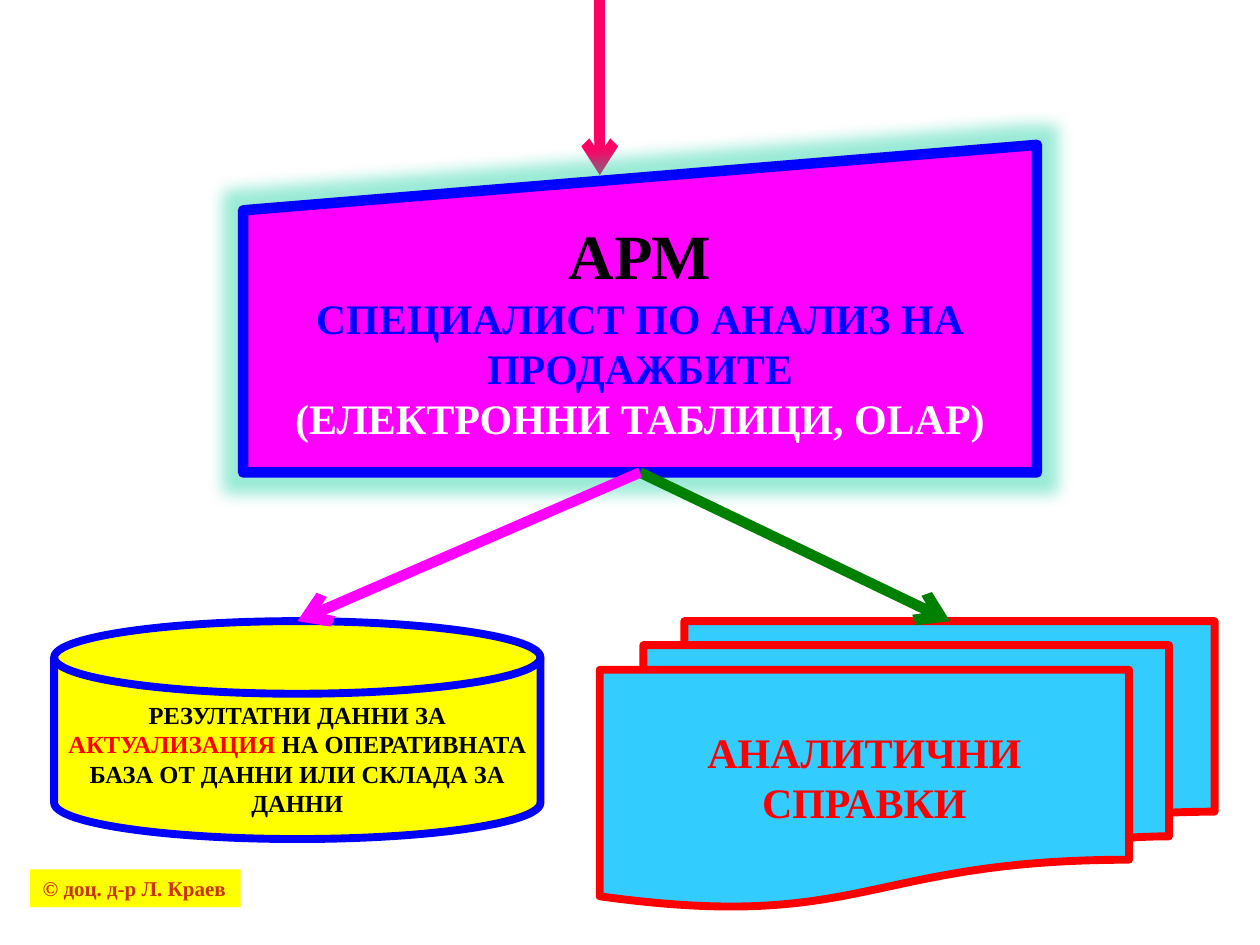
"""Build the slide on the sales analyst workstation and its outputs."""
from dataclasses import dataclass

from lxml.etree import SubElement
from pptx import Presentation
from pptx.dml.color import RGBColor
from pptx.enum.shapes import MSO_CONNECTOR, MSO_SHAPE
from pptx.enum.text import MSO_ANCHOR, MSO_AUTO_SIZE, PP_ALIGN
from pptx.oxml.ns import qn
from pptx.shapes.autoshape import Shape
from pptx.slide import Slide
from pptx.util import Inches, Pt


@dataclass(frozen=True)
class Theme:
    """Colours, type sizes and line widths."""
    font: str = "Times New Roman"
    black: str = "000000"
    white: str = "FFFFFF"
    blue: str = "0000FF"
    red: str = "FF0000"
    magenta: str = "FF00FF"
    yellow: str = "FFFF00"
    sky: str = "33CCFF"
    pink: str = "FF0066"
    green: str = "008000"
    rust: str = "CC3300"
    glow: str = "00CC99"
    title: float = 36
    head: float = 24
    body: float = 14
    small: float = 12
    thick: float = 6
    medium: float = 4.5


T = Theme()


@dataclass(frozen=True)
class Span:
    """A run of text in one size and colour."""
    text: str
    size: float
    color: str


@dataclass(frozen=True)
class Box:
    """A filled shape with its paragraphs."""
    kind: MSO_SHAPE
    at: tuple[float, float, float, float]
    fill: str
    paras: list[list[Span]]
    line: str | None = None
    width: float = 0
    top_inset: float = 0.05
    align: PP_ALIGN = PP_ALIGN.CENTER
    wrap: bool = True


@dataclass(frozen=True)
class Arrow:
    """A straight arrow between two points."""
    start: tuple[float, float]
    end: tuple[float, float]
    color: str


def rgb(color: str) -> RGBColor:
    """Return a colour from its hex name."""
    return RGBColor.from_string(color)


def draw_box(s: Slide, box: Box) -> Shape:
    """Draw a shape and write its text."""
    sp = s.shapes.add_shape(box.kind, *map(Inches, box.at))
    sp.shadow.inherit = False
    sp.fill.solid()
    sp.fill.fore_color.rgb = rgb(box.fill)
    if box.line:
        sp.line.color.rgb = rgb(box.line)
        sp.line.width = Pt(box.width)
    else:
        sp.line.fill.background()
    tf = sp.text_frame
    tf.word_wrap = box.wrap
    tf.auto_size = MSO_AUTO_SIZE.NONE if box.wrap else MSO_AUTO_SIZE.SHAPE_TO_FIT_TEXT
    tf.vertical_anchor = MSO_ANCHOR.TOP
    tf.margin_top = Inches(box.top_inset)
    for i, spans in enumerate(box.paras):
        p = tf.add_paragraph() if i else tf.paragraphs[0]
        p.alignment = box.align
        for span in spans:
            r = p.add_run()
            r.text = span.text
            r.font.name = T.font
            r.font.bold = True
            r.font.size = Pt(span.size)
            r.font.color.rgb = rgb(span.color)
    return sp


def add_glow(sp: Shape, color: str, radius: float) -> None:
    """Surround a shape with a translucent glow."""
    effects = sp._element.spPr.find(qn("a:effectLst"))
    glow = SubElement(effects, qn("a:glow"), rad=str(Pt(radius)))
    clr = SubElement(glow, qn("a:srgbClr"), val=color)
    SubElement(clr, qn("a:alpha"), val="40000")


def draw_arrow(s: Slide, arrow: Arrow) -> None:
    """Draw an arrow with an open head at its end."""
    points = map(Inches, (*arrow.start, *arrow.end))
    cn = s.shapes.add_connector(MSO_CONNECTOR.STRAIGHT, *points)
    cn.line.color.rgb = rgb(arrow.color)
    cn.line.width = Pt(T.thick)
    SubElement(cn.line._get_or_add_ln(), qn("a:tailEnd"), type="arrow")
    SubElement(cn._element.spPr, qn("a:effectLst"))


def main() -> None:
    """Compose and save the slide."""
    prs = Presentation()
    prs.slide_width, prs.slide_height = Inches(10), Inches(7.5)
    s = prs.slides.add_slide(prs.slide_layouts[6])

    workstation = Box(
        MSO_SHAPE.FLOWCHART_MANUAL_INPUT, (1.93, 1.15, 6.3, 2.6), T.magenta,
        [[Span("АРМ", T.title, T.black)],
         [Span("СПЕЦИАЛИСТ ПО АНАЛИЗ НА ПРОДАЖБИТЕ", T.head, T.blue)],
         [Span("(ЕЛЕКТРОННИ ТАБЛИЦИ, OLAP)", T.head, T.white)]],
        T.blue, T.thick)
    author = Box(
        MSO_SHAPE.RECTANGLE, (0.24, 6.9, 1.67, 0.3), T.yellow,
        [[Span("© доц. д-р Л. Краев", T.small, T.rust)]],
        align=PP_ALIGN.LEFT, wrap=False)
    reports = Box(
        MSO_SHAPE.FLOWCHART_MULTIDOCUMENT, (4.76, 4.93, 4.88, 2.27), T.sky,
        [[Span("АНАЛИТИЧНИ СПРАВКИ", T.head, T.red)]],
        T.red, T.medium, top_inset=0.45)
    results = Box(
        MSO_SHAPE.FLOWCHART_MAGNETIC_DISK, (0.43, 4.93, 3.86, 1.73), T.yellow,
        [[Span("РЕЗУЛТАТНИ ДАННИ ЗА ", T.body, T.black),
          Span("АКТУАЛИЗАЦИЯ ", T.body, T.red),
          Span("НА ОПЕРАТИВНАТА БАЗА ОТ ДАННИ ИЛИ СКЛАДА ЗА ДАННИ", T.body, T.black)]],
        T.blue, T.medium)

    outlet = (5.08, 3.75)
    draw_arrow(s, Arrow((4.76, 0), (4.76, 1.39), T.pink))
    add_glow(draw_box(s, workstation), T.glow, 18)
    draw_box(s, author)
    draw_box(s, reports)
    draw_arrow(s, Arrow(outlet, (7.54, 4.93), T.green))
    draw_box(s, results)
    draw_arrow(s, Arrow(outlet, (2.36, 4.93), T.magenta))

    prs.save("out.pptx")


if __name__ == "__main__":
    main()
